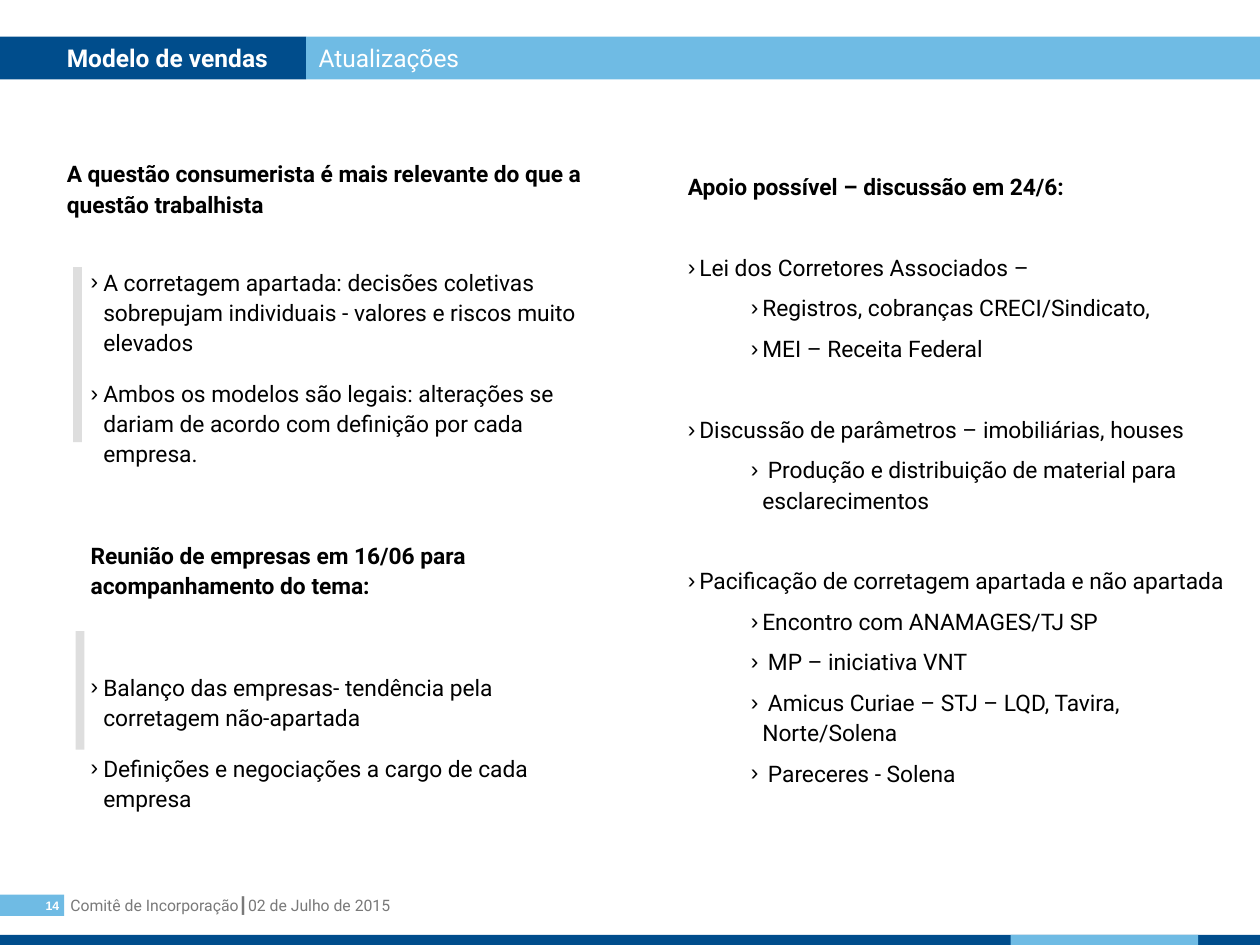
import pptx
import pptx.dml.color
import pptx.enum.shapes
import pptx.enum.text
import pptx.oxml
import pptx.oxml.ns
import pptx.util
from lxml import etree

COLS, ROWS = 100, 75
NAVY, SKY, GREY, WHITE, BLACK = "004D8C", "6FBBE4", "DEDEDE", "FFFFFF", "000000"
ALIGN = pptx.enum.text.PP_ALIGN
ANCHOR = pptx.enum.text.MSO_ANCHOR


def color(hex_value):
    return pptx.dml.color.RGBColor.from_string(hex_value)


def apply(target, values):
    for name, value in values.items():
        setattr(target, name, value)


class Deck:
    """Holds the style and the current slide; places parts on a grid."""

    font = "Roboto"
    bullet = "›"
    text_size = 13
    line_spacing = 1.1

    def __init__(self, width, height):
        self.prs = pptx.Presentation()
        self.prs.slide_width = pptx.util.Inches(width)
        self.prs.slide_height = pptx.util.Inches(height)

    def add_slide(self, layout):
        self.s = self.prs.slides.add_slide(self.prs.slide_layouts[layout])

    def box(self, col, row, cols, rows):
        x, y = self.prs.slide_width / COLS, self.prs.slide_height / ROWS
        return [round(v) for v in (col * x, row * y, cols * x, rows * y)]

    def place(self, sp, area):
        apply(sp, dict(zip(("left", "top", "width", "height"), self.box(*area))))

    def frame(self, sp, margins=(0.1, 0.05, 0.1, 0.05), anchor=ANCHOR.TOP):
        tf = sp.text_frame
        sides = ("margin_left", "margin_top", "margin_right", "margin_bottom")
        apply(tf, dict(zip(sides, map(pptx.util.Inches, margins))))
        apply(tf, {"word_wrap": True, "vertical_anchor": anchor,
                   "auto_size": pptx.enum.text.MSO_AUTO_SIZE.NONE})
        return tf

    def add_text(self, p, text, size, fill, bold=False, font=None, align=ALIGN.LEFT):
        p.alignment = align
        r = p.add_run()
        r.text = text
        apply(r.font, {"name": font or self.font, "bold": bold,
                       "size": pptx.util.Pt(size)})
        r.font.color.rgb = color(fill)

    def bar(self, area, fill):
        sp = self.s.shapes.add_shape(
            pptx.enum.shapes.MSO_SHAPE.RECTANGLE, *self.box(*area))
        sp.shadow.inherit = False
        sp.fill.solid()
        sp.fill.fore_color.rgb = color(fill)
        sp.line.fill.background()
        return sp

    def title(self, area, text, fill, left):
        sp = self.s.shapes.title
        self.place(sp, area)
        sp.fill.solid()
        sp.fill.fore_color.rgb = color(fill)
        tf = self.frame(sp, (left, 0.05, 0.04, 0.05))
        self.add_text(tf.paragraphs[0], text, 14, WHITE, bold=True)

    def label(self, area, text, size, fill):
        tf = self.frame(self.s.shapes.add_textbox(*self.box(*area)))
        self.add_text(tf.paragraphs[0], text, size, fill)

    def mark(self, p, indent, hang, bulleted):
        pPr = p._p.get_or_add_pPr()
        pPr.set("marL", str(pptx.util.Inches(indent)))
        pPr.set("indent", str(-pptx.util.Inches(hang)))
        qn = pptx.oxml.ns.qn
        if bulleted:
            clr = etree.SubElement(pPr, qn("a:buClr"))
            etree.SubElement(clr, qn("a:srgbClr")).set("val", BLACK)
            etree.SubElement(pPr, qn("a:buChar")).set("char", self.bullet)
        else:
            etree.SubElement(pPr, qn("a:buNone"))

    def body(self, index, area, margins, styles, items):
        """Each item is (style, space before, text)."""
        sp = self.s.placeholders[index]
        self.place(sp, area)
        tf = self.frame(sp, margins)
        for i, (style, before, text) in enumerate(items):
            p = tf.add_paragraph() if i else tf.paragraphs[0]
            level, indent, hang, bulleted = styles[style]
            self.mark(p, indent, hang, bulleted)
            apply(p, {"level": level, "line_spacing": self.line_spacing,
                      "space_before": pptx.util.Pt(before)})
            self.add_text(p, text, self.text_size, BLACK, bold=not bulleted)


def main():
    d = Deck(10, 7.5)
    d.add_slide(3)

    # Header band
    d.title((0, 2.9, 24.3, 3.4), "Modelo de vendas", NAVY, left=0.53)
    band = d.bar((24.3, 2.9, 75.7, 3.4), SKY)
    d.add_text(d.frame(band).paragraphs[0], "Atualizações", 14, WHITE)

    # Left column: styles are (level, indent, hang, bulleted)
    styles = {"head": (0, 0, 0, False), "subhead": (0, 0.19, 0, False),
              "item": (0, 0.29, 0.1, True)}
    d.body(1, (4.3, 12, 42.9, 53.5), (0.1, 0.05, 0.1, 0.05), styles, [
        ("head", 0, "A questão consumerista é mais relevante do que a questão trabalhista"),
        ("item", 27.5, "A corretagem apartada: decisões coletivas sobrepujam individuais"
                       " - valores e riscos muito elevados"),
        ("item", 12, "Ambos os modelos são legais: alterações se dariam de acordo com"
                     " definição por cada empresa."),
        ("subhead", 41, "Reunião de empresas em 16/06 para acompanhamento do tema:"),
        ("item", 41, "Balanço das empresas- tendência pela corretagem não-apartada"),
        ("item", 12, "Definições e negociações a cargo de cada empresa"),
    ])
    for area in ((5.8, 21.2, 0.7, 13.9), (6, 50.1, 0.7, 9.4)):
        d.bar(area, GREY)

    # Right column
    styles = {"head": (0, 0, 0, False), "item": (0, 0.09, 0.09, True),
              "sub": (1, 0.59, 0.09, True)}
    d.body(2, (53.9, 13.1, 44.1, 53.4), (0.07, 0.04, 0.07, 0.04), styles, [
        ("head", 0, "Apoio possível – discussão em 24/6:"),
        ("item", 29, "Lei dos Corretores Associados –"),
        ("sub", 6, "Registros, cobranças CRECI/Sindicato,"),
        ("sub", 6, "MEI – Receita Federal"),
        ("item", 29, "Discussão de parâmetros – imobiliárias, houses"),
        ("sub", 6, " Produção e distribuição de material para esclarecimentos"),
        ("item", 29, "Pacificação de corretagem apartada e não apartada"),
        ("sub", 6, "Encontro com ANAMAGES/TJ SP"),
        ("sub", 6, " MP – iniciativa VNT"),
        ("sub", 6, " Amicus Curiae – STJ – LQD, Tavira, Norte/Solena"),
        ("sub", 6, " Pareceres - Solena"),
    ])

    # Footer
    d.label((4.6, 70.6, 73, 2.5), "Comitê de Incorporação┃02 de Julho de 2015", 9, "797979")
    number = d.frame(d.bar((0, 71, 5.1, 1.7), SKY), (0, 0, 0.04, 0), ANCHOR.MIDDLE)
    d.add_text(number.paragraphs[0], "14", 7, WHITE, bold=True, font="Arial",
               align=ALIGN.RIGHT)
    d.bar((0, 74.2, 100, 0.8), NAVY)
    d.bar((80.2, 74.2, 14.9, 0.8), SKY)

    d.prs.save("out.pptx")


if __name__ == "__main__":
    main()
